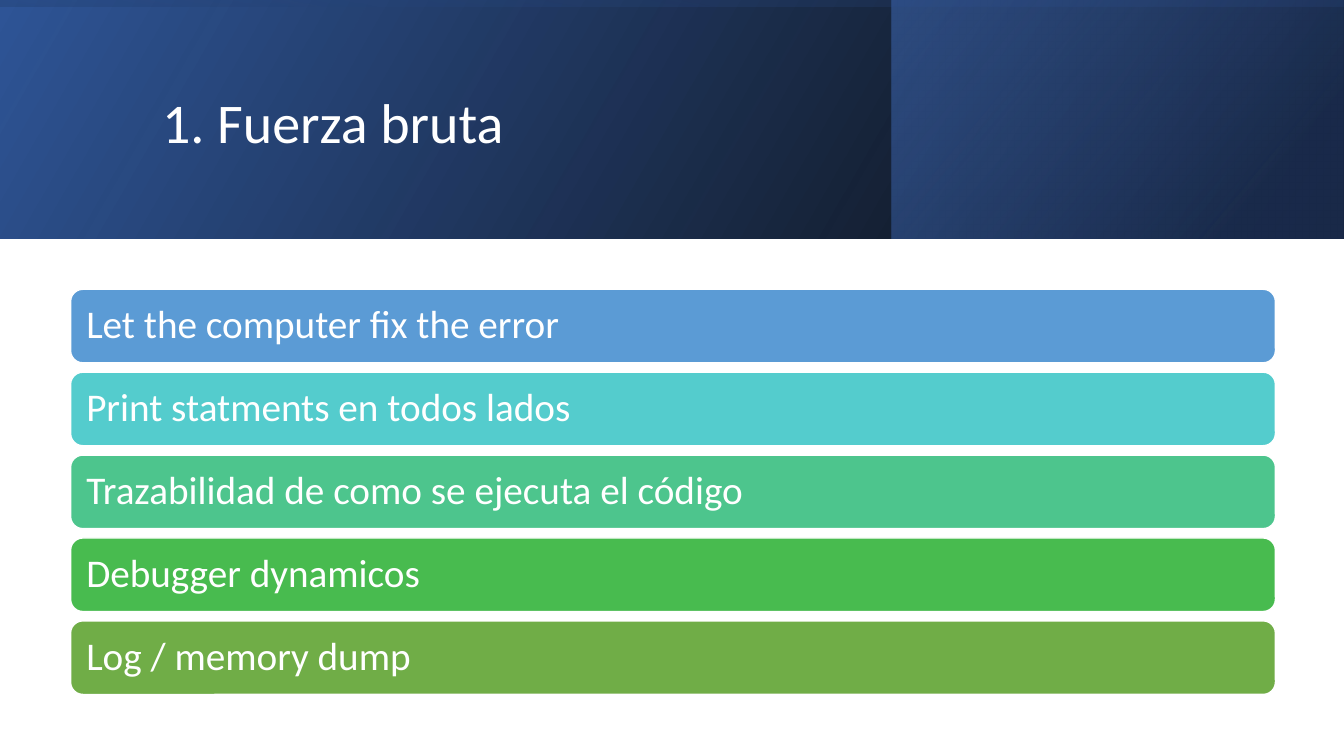
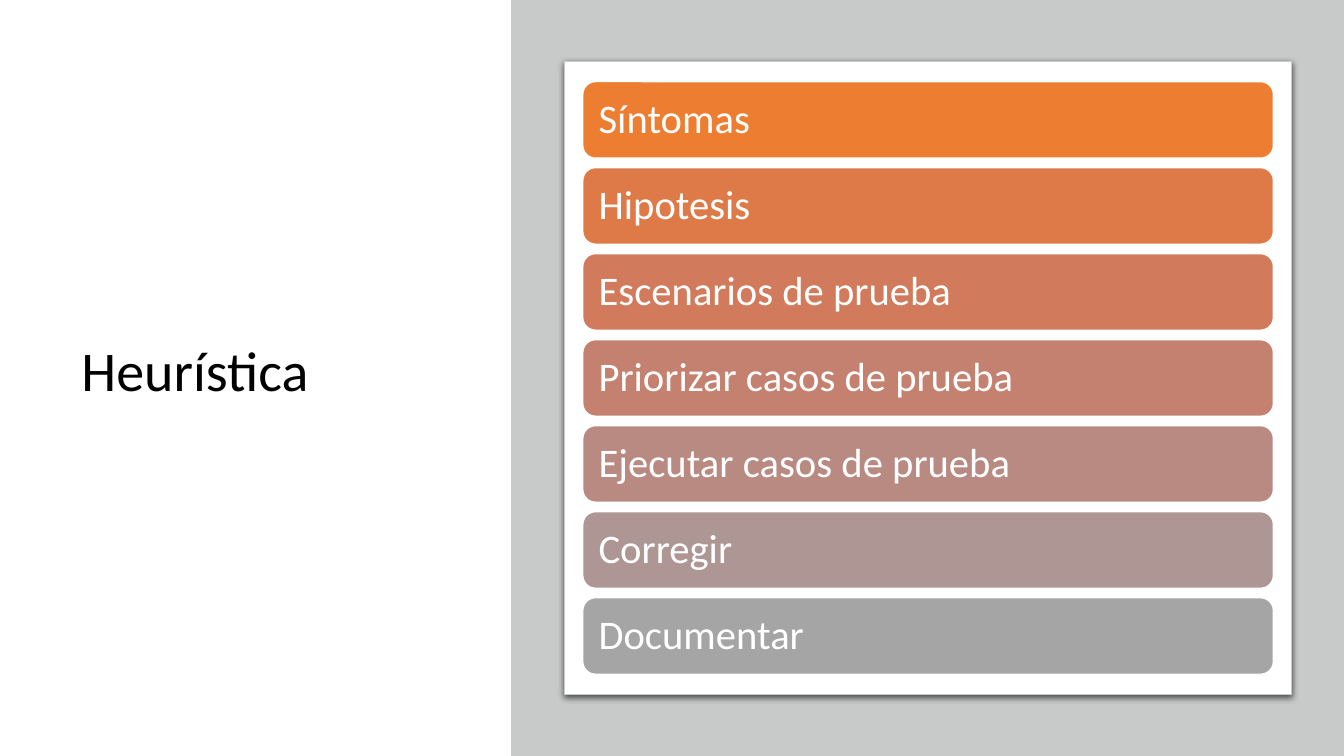
from pptx import Presentation
from pptx.dml.color import RGBColor
from pptx.enum.shapes import MSO_SHAPE
from pptx.enum.text import MSO_ANCHOR, PP_ALIGN
from pptx.oxml import parse_xml
from pptx.oxml.ns import nsdecls, qn
from pptx.util import Inches, Pt

WIDE, HIGH, BAND = 13.33, 7.5, 2.37
WHITE, BLACK, GREY = "FFFFFF", "000000", "C8CACA"
NAVY = "2F5597"
FONT = "Calibri"
INSET = Inches(0.12)
FRAME = {"word_wrap": True, "vertical_anchor": MSO_ANCHOR.MIDDLE}
INNER = {"margin_left": INSET, "margin_right": INSET,
         "margin_top": INSET, "margin_bottom": INSET}
PARA = {"line_spacing": 0.9, "alignment": PP_ALIGN.LEFT}

BRUTE = [
    ("Let the computer fix the error", "5B9BD5"),
    ("Print statments en todos lados", "54CCCD"),
    ("Trazabilidad de como se ejecuta el código", "4DC58D"),
    ("Debugger dynamicos", "48BB4F"),
    ("Log / memory dump", "70AD47"),
]
STEPS = [
    ("Síntomas", "ED7D31"),
    ("Hipotesis", "DE7A47"),
    ("Escenarios de prueba", "D17B5C"),
    ("Priorizar casos de prueba", "C48170"),
    ("Ejecutar casos de prueba", "B98A82"),
    ("Corregir", "AE9694"),
    ("Documentar", "A5A5A5"),
]


def color(code):
    """Turn a hex string into a colour."""
    return RGBColor.from_string(code)


def apply(item, values):
    """Set each named attribute on the item."""
    for name, value in values.items():
        setattr(item, name, value)


def write(shape, text, size, ink, extra):
    """Put one line of styled text into a shape."""
    frame = shape.text_frame
    apply(frame, FRAME | extra)
    para = frame.paragraphs[0]
    apply(para, PARA)
    run = para.add_run()
    run.text = text
    apply(run.font, {"name": FONT, "size": Pt(size)})
    run.font.color.rgb = color(ink)


def add_box(slide, kind, place, fill, line=None, width=1):
    """Add a flat shape, with an outline if a line colour is given."""
    box = slide.shapes.add_shape(kind, *map(Inches, place))
    box.shadow.inherit = False
    box.fill.solid()
    box.fill.fore_color.rgb = color(fill)
    if line:
        box.line.color.rgb = color(line)
        box.line.width = Pt(width)
    else:
        box.line.fill.background()
    return box


def add_title(slide, place, text, ink):
    """Add the slide title."""
    box = slide.shapes.add_textbox(*map(Inches, place))
    write(box, text, 40, ink, {})


def add_fade(slide, place, stops, angle, turn=0):
    """Add a mirrored band with a see-through gradient."""
    band = add_box(slide, MSO_SHAPE.RECTANGLE, place, NAVY)
    band.rotation = turn
    props = band._element.spPr
    props.find(qn("a:xfrm")).set("flipH", "1")
    marks = "".join(
        f'<a:gs pos="{pos * 1000}"><a:srgbClr val="{code}">'
        f'<a:alpha val="{alpha * 1000}"/></a:srgbClr></a:gs>'
        for pos, code, alpha in stops)
    props.replace(props.find(qn("a:solidFill")), parse_xml(
        f'<a:gradFill rotWithShape="1" {nsdecls("a")}><a:gsLst>{marks}</a:gsLst>'
        f'<a:lin ang="{angle * 60000}" scaled="0"/></a:gradFill>'))


def add_card(slide, place):
    """Add the white card with a soft shadow below it."""
    card = add_box(slide, MSO_SHAPE.ROUNDED_RECTANGLE, place, WHITE, GREY, 0.75)
    card.adjustments[0] = 0
    card._element.spPr.find(qn("a:effectLst")).append(parse_xml(
        f'<a:outerShdw {nsdecls("a")} blurRad="{Pt(4.5)}" dist="{Pt(1.5)}" '
        f'dir="5400000" algn="t" rotWithShape="0"><a:srgbClr val="{BLACK}">'
        '<a:alpha val="63000"/></a:srgbClr></a:outerShdw>'))


def add_bars(slide, rows, place, tall, size):
    """Stack one bar per row, spread evenly over the place."""
    left, top, wide, high = place
    pitch = (high - tall) / (len(rows) - 1)
    for num, (text, fill) in enumerate(rows):
        spot = (left, top + num * pitch, wide, tall)
        bar = add_box(slide, MSO_SHAPE.ROUNDED_RECTANGLE, spot, fill, WHITE)
        write(bar, text, size, WHITE, INNER)


def brute_slide(slide):
    """Build the slide on brute force."""
    add_fade(slide, (0, 0, WIDE, BAND), [(0, BLACK, 96), (100, NAVY, 100)], 330)
    add_fade(slide, (8.84, 0, 4.48, BAND),
             [(19, "203864", 68), (100, "4472C4", 48)], 320)
    shift = (WIDE - BAND) / 2
    add_fade(slide, (shift, -shift, BAND, WIDE),
             [(23, NAVY, 16), (99, BLACK, 45)], 350, 270)
    add_title(slide, (1.51, 0.38, 10.63, 1.72), "1. Fuerza bruta", WHITE)
    add_bars(slide, BRUTE, (0.7, 2.87, 11.95, 4.02), 0.73, 28)


def steps_slide(slide):
    """Build the slide on the heuristic steps."""
    add_title(slide, (0.71, 0.69, 4.01, 6.02), "Heurística", BLACK)
    add_box(slide, MSO_SHAPE.RECTANGLE, (5.07, 0, 8.26, HIGH), GREY)
    add_card(slide, (5.6, 0.61, 7.21, 6.28))
    add_bars(slide, STEPS, (5.78, 0.81, 6.85, 5.88), 0.76, 29)


def main():
    """Build and save the slides."""
    deck = Presentation()
    apply(deck, {"slide_width": Inches(WIDE), "slide_height": Inches(HIGH)})
    for build in (brute_slide, steps_slide):
        build(deck.slides.add_slide(deck.slide_layouts[6]))
    deck.save("out.pptx")


main()
